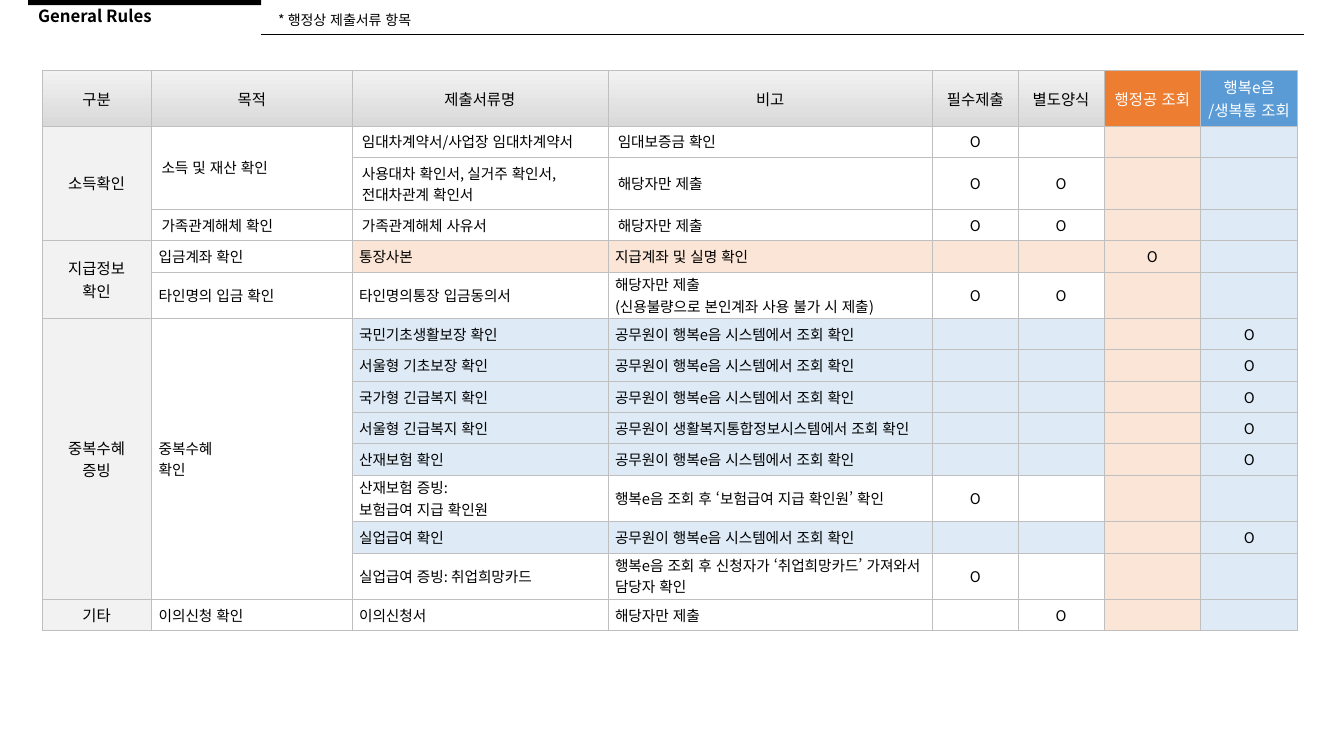
from lxml import etree
from pptx import Presentation
from pptx.dml.color import RGBColor
from pptx.enum.lang import MSO_LANGUAGE_ID
from pptx.enum.shapes import MSO_CONNECTOR, MSO_SHAPE
from pptx.enum.text import MSO_ANCHOR, PP_ALIGN
from pptx.oxml.ns import qn
from pptx.util import Cm, Pt

RECTANGLE = MSO_SHAPE.RECTANGLE
STRAIGHT = MSO_CONNECTOR.STRAIGHT
MIDDLE = MSO_ANCHOR.MIDDLE
CENTER, LEFT = PP_ALIGN.CENTER, PP_ALIGN.LEFT
KOREAN = MSO_LANGUAGE_ID.KOREAN

FONT = "Noto Sans CJK KR"
BLACK, WHITE, BORDER = "000000", "FFFFFF", "BFBFBF"
GROUP_GRAY, HEADER_GRAYS = "F2F2F2", ("F2F2F2", "D9D9D9")
HEADER_FILLS = {6: "ED7D31", 7: "5B9BD5"}
LOOKUP_TINTS = {6: "FBE5D6", 7: "DEEBF7"}

# Cell margins in cm: horizontal, vertical
HEADER_MARGINS, WIDE_MARGINS, TIGHT_MARGINS = (0, 0.13), (0.25, 0.13), (0.18, 0.05)
FIRST_TIGHT_ROW = 4
FIRST_MARK_COLUMN = 4

COLUMN_WIDTHS = (2.77, 5.05, 6.45, 8.18, 2.16, 2.16, 2.44, 2.44)
ROW_HEIGHT = 0.79
TALL_ROW_HEIGHTS = {0: 1.39, 2: 1.31, 5: 1.17, 11: 1.17, 13: 1.17}
HEADERS = ("구분", "목적", "제출서류명", "비고", "필수제출", "별도양식",
           "행정공 조회", "행복e음\n/생복통 조회")
SYSTEM_CHECK = "공무원이 행복e음 시스템에서 조회 확인"

# Group, purpose, document, note, marked columns; None continues the cell above
ROWS = (
    ("소득확인", "소득 및 재산 확인", "임대차계약서/사업장 임대차계약서", "임대보증금 확인", (4,)),
    (None, None, "사용대차 확인서, 실거주 확인서, 전대차관계 확인서", "해당자만 제출", (4, 5)),
    (None, "가족관계해체 확인", "가족관계해체 사유서", "해당자만 제출", (4, 5)),
    ("지급정보\n확인", "입금계좌 확인", "통장사본", "지급계좌 및 실명 확인", (6,)),
    (None, "타인명의 입금 확인", "타인명의통장 입금동의서",
     "해당자만 제출\n(신용불량으로 본인계좌 사용 불가 시 제출)", (4, 5)),
    ("중복수혜\n증빙", "중복수혜\n확인", "국민기초생활보장 확인", SYSTEM_CHECK, (7,)),
    (None, None, "서울형 기초보장 확인", SYSTEM_CHECK, (7,)),
    (None, None, "국가형 긴급복지 확인", SYSTEM_CHECK, (7,)),
    (None, None, "서울형 긴급복지 확인", "공무원이 생활복지통합정보시스템에서 조회 확인", (7,)),
    (None, None, "산재보험 확인", SYSTEM_CHECK, (7,)),
    (None, None, "산재보험 증빙:\n보험급여 지급 확인원",
     "행복e음 조회 후 ‘보험급여 지급 확인원’ 확인", (4,)),
    (None, None, "실업급여 확인", SYSTEM_CHECK, (7,)),
    (None, None, "실업급여 증빙: 취업희망카드",
     "행복e음 조회 후 신청자가 ‘취업희망카드’ 가져와서 담당자 확인", (4,)),
    ("기타", "이의신청 확인", "이의신청서", "해당자만 제출", (5,)),
)


def color(hex_string):
    return RGBColor.from_string(hex_string)


def apply(target, values):
    for name, value in values.items():
        setattr(target, name, value)


def write_text(frame, text, size, text_color=BLACK, bold=False, **paragraph_format):
    frame.text = text
    for paragraph in frame.paragraphs:
        apply(paragraph, paragraph_format)
        for run in paragraph.runs:
            apply(run.font, {"name": FONT, "size": Pt(size), "bold": bold,
                             "language_id": KOREAN})
            run.font.color.rgb = color(text_color)
            etree.SubElement(run.font._element, qn("a:ea"), typeface=FONT)
        if not paragraph.runs:
            # An empty cell keeps the row height of the body text
            etree.SubElement(paragraph._p, qn("a:endParaRPr"), sz=str(int(size * 100)))


def add_label(slide, box, text, size, bold=False):
    frame = slide.shapes.add_textbox(*(Cm(length) for length in box)).text_frame
    apply(frame, {"word_wrap": True, "vertical_anchor": MIDDLE})
    write_text(frame, text, size, bold=bold, line_spacing=0.9, space_before=Pt(10))


def add_heading(slide, left, top, width):
    tab_width, rule_top = 5.87, top + 0.87
    # Black bar above the title
    bar = slide.shapes.add_shape(RECTANGLE, Cm(left), Cm(top), Cm(tab_width), Cm(0.13))
    bar.shadow.inherit = False
    bar.fill.solid()
    bar.fill.fore_color.rgb = color(BLACK)
    bar.line.fill.background()
    # Thin rule to the right of the title
    rule = slide.shapes.add_connector(STRAIGHT, Cm(left + tab_width), Cm(rule_top),
                                      Cm(left + width), Cm(rule_top))
    rule.line.color.rgb = color(BLACK)
    rule.line.width = Pt(0.5)
    etree.SubElement(rule._element.spPr, qn("a:effectLst"))
    # Title and subtitle
    add_label(slide, (left, top + 0.03, tab_width, 0.81), "General Rules", 12, bold=True)
    add_label(slide, (left + 6.05, top + 0.2, 17.68, 0.66), "* 행정상 제출서류 항목", 10)


def set_borders(cell, row, column):
    properties = cell._tc.get_or_add_tcPr()
    widths = {
        "a:lnL": 0.25 if column <= 1 else 0.5,
        "a:lnR": 0.25 if column == 0 else 0.5,
        "a:lnT": 0.5 if row == 0 else 0.25,
        "a:lnB": 0.5 if row == len(ROWS) else 0.25,
    }
    # Borders stand before the fill
    for position, (tag, width) in enumerate(widths.items()):
        line = etree.Element(qn(tag), w=str(Pt(width)))
        fill = etree.SubElement(line, qn("a:solidFill"))
        etree.SubElement(fill, qn("a:srgbClr"), val=BORDER)
        properties.insert(position, line)


def format_cell(cell, row, column, margins, fill):
    horizontal, vertical = (Cm(margin) for margin in margins)
    apply(cell, {"vertical_anchor": MIDDLE, "margin_left": horizontal,
                 "margin_right": horizontal, "margin_top": vertical,
                 "margin_bottom": vertical})
    if fill is None:
        cell.fill.background()
    elif isinstance(fill, tuple):
        cell.fill.gradient()
        cell.fill.gradient_angle = 270
        for stop, stop_color in zip(cell.fill.gradient_stops, fill):
            stop.color.rgb = color(stop_color)
    else:
        cell.fill.solid()
        cell.fill.fore_color.rgb = color(fill)
    set_borders(cell, row, column)


def fill_header(table):
    for column, text in enumerate(HEADERS):
        cell = table.cell(0, column)
        text_color = WHITE if column in HEADER_FILLS else BLACK
        write_text(cell.text_frame, text, 11, text_color, alignment=CENTER)
        format_cell(cell, 0, column, HEADER_MARGINS, HEADER_FILLS.get(column, HEADER_GRAYS))


def fill_row(table, row, texts, marks):
    # A row looked up by an official takes the tint of its lookup column
    row_tint = LOOKUP_TINTS.get(marks[0])
    mark_texts = ["O" if column in marks else ""
                  for column in range(FIRST_MARK_COLUMN, len(HEADERS))]
    for column, text in enumerate([*texts, *mark_texts]):
        cell = table.cell(row, column)
        is_text = column < FIRST_MARK_COLUMN
        margins = TIGHT_MARGINS if is_text and row >= FIRST_TIGHT_ROW else WIDE_MARGINS
        fill = LOOKUP_TINTS.get(column, row_tint)
        if column < 2:
            fill = GROUP_GRAY if column == 0 else None
        write_text(cell.text_frame, text or "", 11 if column == 0 else 10.5,
                   alignment=LEFT if 0 < column < FIRST_MARK_COLUMN else CENTER)
        format_cell(cell, row, column, margins, fill)


def merge_continued(table, column):
    starts = [row for row, entry in enumerate(ROWS, 1) if entry[column]]
    for start, following in zip(starts, [*starts[1:], len(ROWS) + 1]):
        if following - start > 1:
            table.cell(start, column).merge(table.cell(following - 1, column))


def add_document_table(slide, left, top, width):
    heights = [TALL_ROW_HEIGHTS.get(row, ROW_HEIGHT) for row in range(len(ROWS) + 1)]
    frame = slide.shapes.add_table(len(heights), len(HEADERS),
                                   Cm(left), Cm(top), Cm(width), Cm(sum(heights)))
    table = frame.table
    apply(table, {"first_row": False, "horz_banding": False})
    for column, column_width in zip(table.columns, COLUMN_WIDTHS):
        column.width = Cm(column_width)
    for row, height in zip(table.rows, heights):
        row.height = Cm(height)
    fill_header(table)
    for row, (*texts, marks) in enumerate(ROWS, 1):
        fill_row(table, row, texts, marks)
    for column in range(2):
        merge_continued(table, column)


def main():
    presentation = Presentation()
    apply(presentation, {"slide_width": Cm(33.87), "slide_height": Cm(19.05)})
    slide = presentation.slides.add_slide(presentation.slide_layouts[6])
    add_heading(slide, 0.71, 0, 32.16)
    add_document_table(slide, 1.05, 1.78, sum(COLUMN_WIDTHS))
    presentation.save("out.pptx")


if __name__ == "__main__":
    main()
